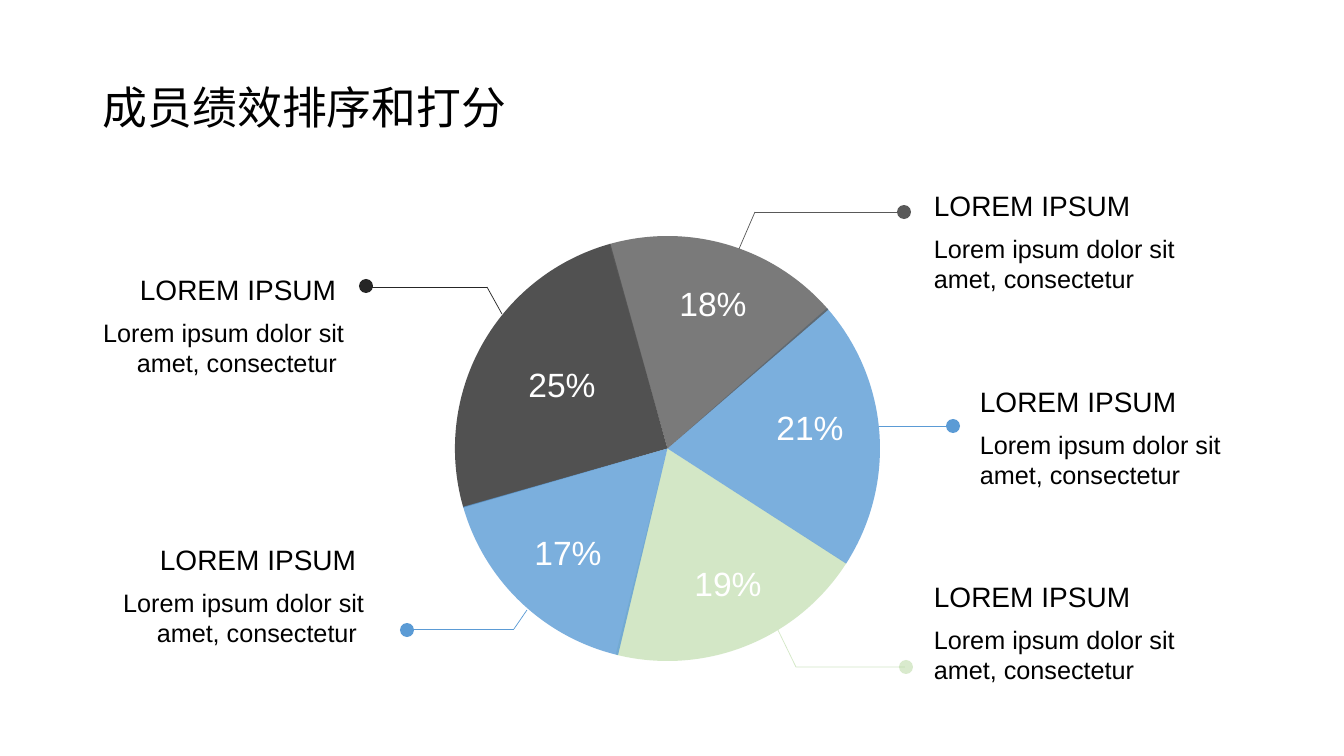
from lxml import etree
from pptx import Presentation
from pptx.dml.color import RGBColor
from pptx.enum.shapes import MSO_CONNECTOR, MSO_SHAPE
from pptx.enum.text import MSO_ANCHOR, PP_ALIGN
from pptx.oxml.ns import qn
from pptx.util import Pt

PIE, OVAL = MSO_SHAPE.BLOCK_ARC.PIE, MSO_SHAPE.OVAL
STRAIGHT = MSO_CONNECTOR.STRAIGHT
TOP, MIDDLE, BOTTOM = MSO_ANCHOR.TOP, MSO_ANCHOR.MIDDLE, MSO_ANCHOR.BOTTOM
LEFT, CENTER, RIGHT = PP_ALIGN.LEFT, PP_ALIGN.CENTER, PP_ALIGN.RIGHT

EMU_PER_PX = 914400 / 100.8
BLACK, WHITE = "000000", "FFFFFF"
CHARCOAL, GRAY, BLUE, GREEN = "262626", "595959", "5B9BD5", "A9D18E"

PIE_BOX = (455, 236, 425, 425)
DOT_SIZE = 14
SHARE_SIZE = (100, 41)
CALLOUT_WIDTH, HEADING_HEIGHT, BODY_HEIGHT = 289, 57, 94
BODY_OFFSET = 58

SLICES = [
    (163.87, 254.43, CHARCOAL, 80),
    (32.71, 104.1, GREEN, 50),
    (103.46, 164.06, BLUE, 80),
    (318.67, 32.79, BLUE, 80),
    (254.13, 319.19, GRAY, 80),
]
SHARES = [
    ("18%", 663, 283),
    ("21%", 760, 407),
    ("17%", 518, 532),
    ("25%", 512, 364),
    ("19%", 678, 563),
]
CALLOUTS = [
    (65, 254, RIGHT),
    (85, 524, RIGHT),
    (924, 170, LEFT),
    (970, 366, LEFT),
    (924, 561, LEFT),
]
LEADERS = [
    ([(502, 314), (487, 287), (365, 287)], (359, 279), CHARCOAL, 100, 100),
    ([(778, 630), (796, 667), (905, 667)], (899, 660), GREEN, 50, 44),
    ([(879, 426), (950, 426)], (946, 419), BLUE, 100, 100),
    ([(739, 249), (755, 212), (900, 212)], (897, 205), GRAY, 100, 100),
    ([(527, 610), (514, 629), (414, 629)], (400, 623), BLUE, 100, 100),
]


def px(*lengths):
    return [round(length * EMU_PER_PX) for length in lengths]


def paint(color_format, hex_color):
    color_format.rgb = RGBColor.from_string(hex_color)


def set_opacity(owner, percent):
    if percent < 100:
        color = next(owner.iter(qn("a:srgbClr")))
        etree.SubElement(color, qn("a:alpha"), val=str(percent * 1000))


def apply_format(target, values):
    for name, value in values.items():
        setattr(target, name, value)


def add_label(slide, box, text, size, color=BLACK, anchor=TOP, align=LEFT, spacing=1.0):
    frame = slide.shapes.add_textbox(*px(*box)).text_frame
    apply_format(frame, {"word_wrap": True, "vertical_anchor": anchor})
    paragraph = frame.paragraphs[0]
    apply_format(paragraph, {"alignment": align, "line_spacing": spacing})
    run = paragraph.add_run()
    run.text = text
    apply_format(run.font, {"name": "Arial", "size": Pt(size)})
    paint(run.font.color, color)


def add_filled(slide, kind, box, color, opacity):
    filled = slide.shapes.add_shape(kind, *px(*box))
    filled.shadow.inherit = False
    filled.fill.solid()
    paint(filled.fill.fore_color, color)
    set_opacity(filled.fill._xPr, opacity)
    filled.line.fill.background()
    return filled


def add_slice(slide, start, end, color, opacity):
    wedge = add_filled(slide, PIE, PIE_BOX, color, opacity)
    for index, degrees in enumerate((start, end)):
        wedge.adjustments[index] = degrees * 0.6


def add_leader(slide, points, dot, color, line_opacity, dot_opacity):
    for begin, end in zip(points, points[1:]):
        segment = slide.shapes.add_connector(STRAIGHT, *px(*begin, *end))
        segment.line.width = Pt(0.5)
        paint(segment.line.color, color)
        properties = segment._element.spPr
        set_opacity(properties, line_opacity)
        etree.SubElement(properties, qn("a:effectLst"))
    add_filled(slide, OVAL, (*dot, DOT_SIZE, DOT_SIZE), color, dot_opacity)


def add_callout(slide, left, top, align):
    ending = " " if align == RIGHT else ""
    add_label(slide, (left, top, CALLOUT_WIDTH, HEADING_HEIGHT),
              "LOREM IPSUM" + ending, 20, anchor=BOTTOM, align=align)
    add_label(slide, (left, top + BODY_OFFSET, CALLOUT_WIDTH, BODY_HEIGHT),
              "Lorem ipsum dolor sit amet, consectetur" + ending, 18, align=align)


def main():
    deck = Presentation()
    deck.slide_width, deck.slide_height = px(1344, 756)
    slide = deck.slides.add_slide(deck.slide_layouts[6])
    add_label(slide, (93, 58, 886, 103), "成员绩效排序和打分", 32, anchor=MIDDLE, spacing=0.9)
    for wedge in SLICES:
        add_slice(slide, *wedge)
    for share, left, top in SHARES:
        add_label(slide, (left, top, *SHARE_SIZE), share, 24, WHITE, MIDDLE, CENTER)
    for callout in CALLOUTS:
        add_callout(slide, *callout)
    for leader in LEADERS:
        add_leader(slide, *leader)
    deck.save("out.pptx")


if __name__ == "__main__":
    main()
